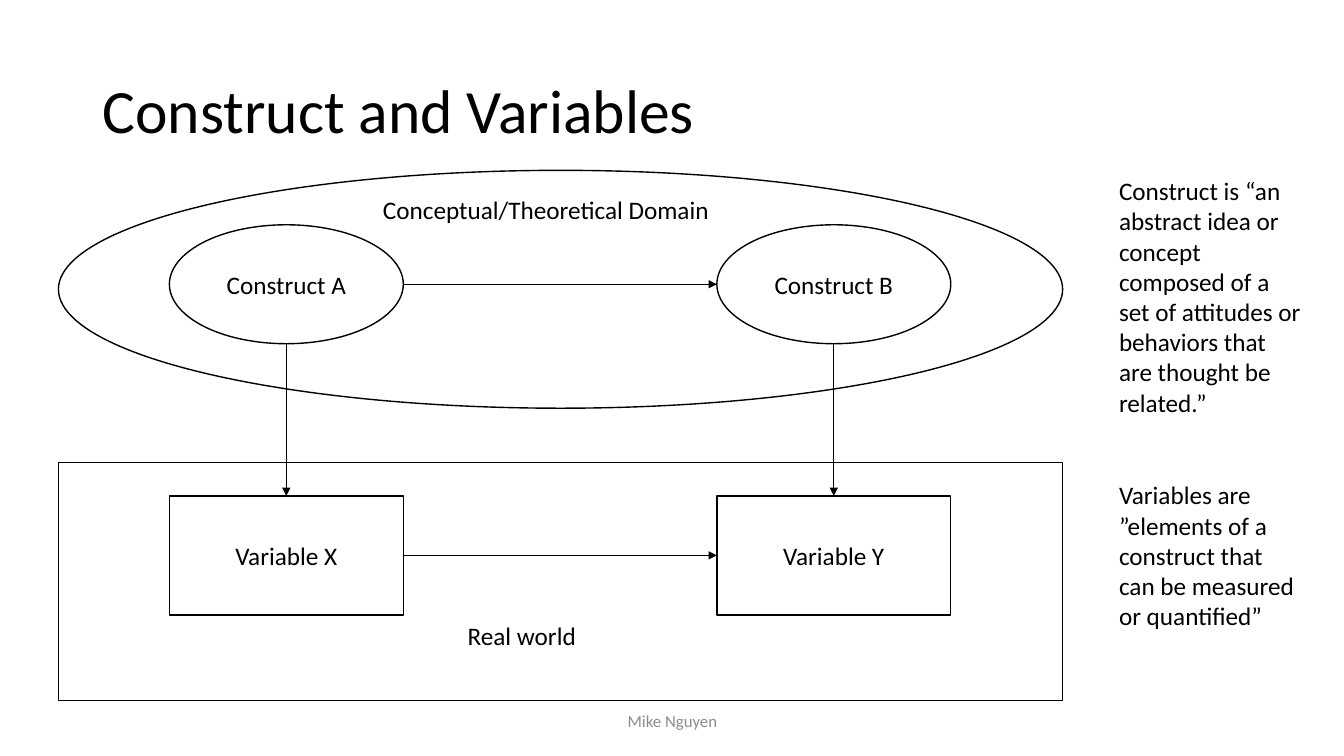
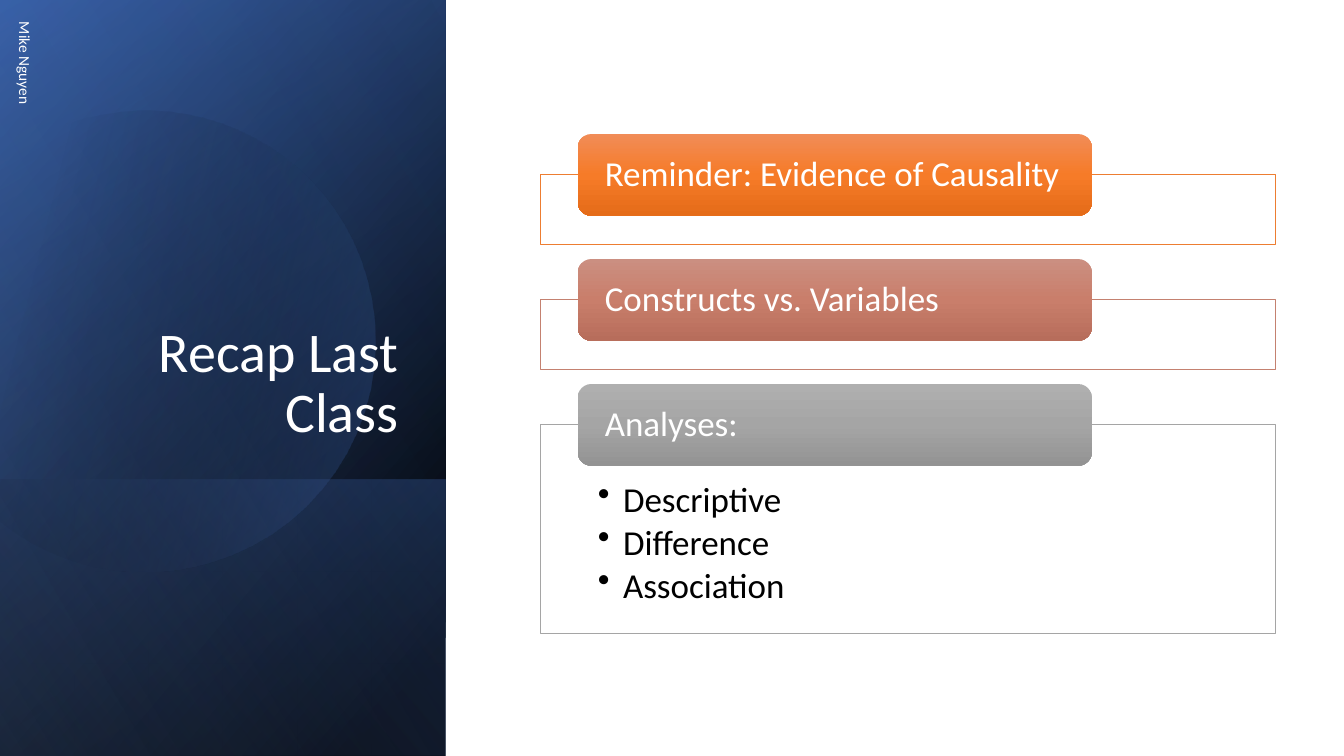
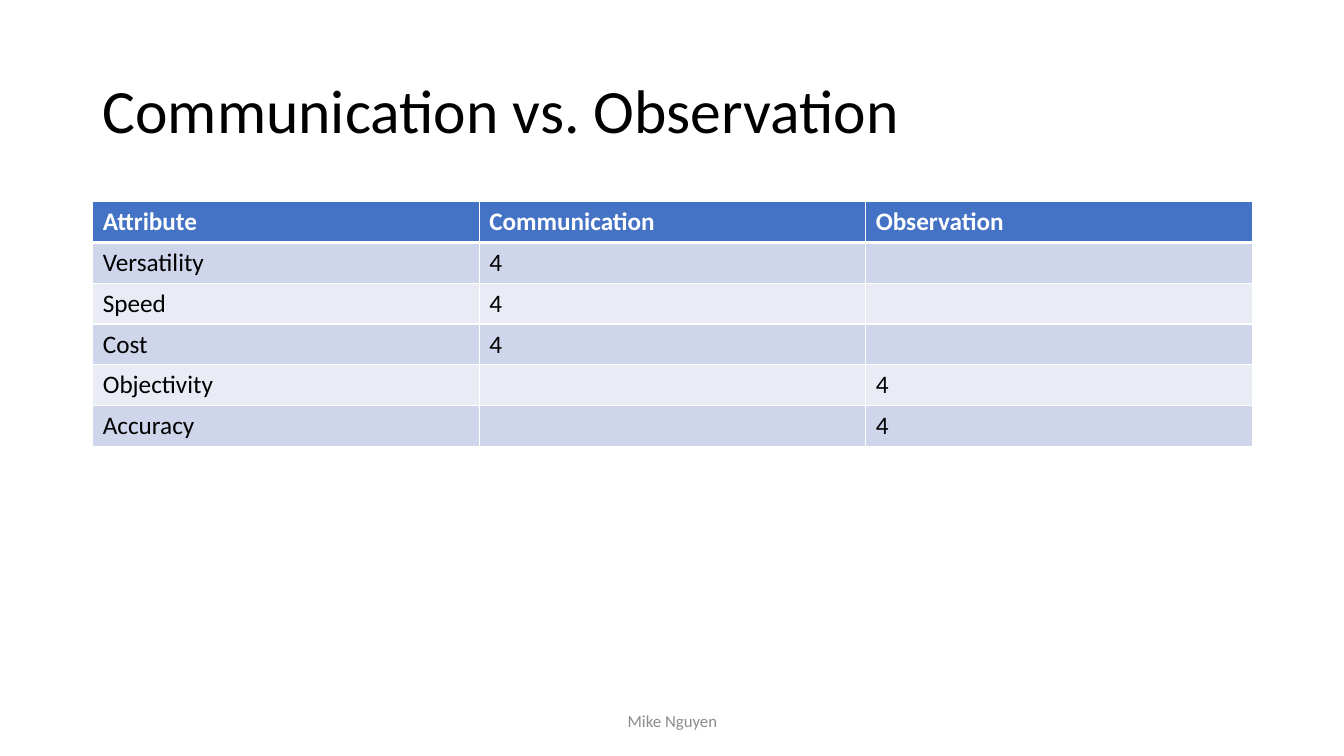
from math import cos, radians, sin

from pptx import Presentation
from pptx.dml.color import RGBColor
from pptx.enum.shapes import MSO_CONNECTOR, MSO_SHAPE
from pptx.enum.text import MSO_ANCHOR, PP_ALIGN
from pptx.oxml import parse_xml
from pptx.oxml.ns import nsdecls, qn
from pptx.util import Inches, Pt

RECT, ROUND, OVAL = MSO_SHAPE.RECTANGLE, MSO_SHAPE.ROUNDED_RECTANGLE, MSO_SHAPE.OVAL
STRAIGHT = MSO_CONNECTOR.STRAIGHT
TOP, MIDDLE, BOTTOM = MSO_ANCHOR.TOP, MSO_ANCHOR.MIDDLE, MSO_ANCHOR.BOTTOM
LEFT, CENTER, RIGHT = PP_ALIGN.LEFT, PP_ALIGN.CENTER, PP_ALIGN.RIGHT


class Theme:
    font = "Calibri"
    black, white, gray = "000000", "FFFFFF", "8C8C8C"
    blue, navy, sky = "4472C4", "2F5597", "8FAADC"
    bands = ("E9EBF5", "CFD5EA")
    title, panel_title, card, body, footer, side = 44, 40, 25, 18, 12, 11
    thin, line, thick = 0.5, 1, 3
    insets = (0.1, 0.05, 0.1, 0.05)


AUTHOR = "Mike Nguyen"

NODE_SIZE = (2.32, 1.18)
NODE_COLUMNS = (1.68, 7.11)
NODE_ROWS = (
    (OVAL, 2.23, ("Construct A", "Construct B")),
    (RECT, 4.92, ("Variable X", "Variable Y")),
)
DOMAINS = (
    (RECT, (0.58, 4.59, 9.96, 2.36), "Real world", (4.54, 6.1, 2, 0.4)),
    (OVAL, (0.58, 1.69, 9.96, 2.36), "Conceptual/Theoretical Domain", (3.7, 1.88, 3.71, 0.4)),
)
DEFINITIONS = (
    ("Construct is “an abstract idea or concept composed of a set of attitudes or "
     "behaviors that are thought be related.”", (11, 1.69, 2.02, 2.52)),
    ("Variables are ”elements of a construct that can be measured or quantified”",
     (11, 4.71, 2.02, 1.62)),
)

PANEL = (-1.54, 1.54, 7.5, 4.42)
PANEL_FOOT = (0.84, 3.92, 2.74, 4.42)
LOWER_LAYERS = (
    (PANEL, 50, ((8, Theme.black, 100), (100, Theme.navy, 100))),
    (PANEL, 30, ((0, Theme.black, 0), (99, Theme.blue, 46))),
    (PANEL_FOOT, 130, ((2, Theme.blue, 29), (100, Theme.black, 30))),
)
UPPER_LAYERS = ((PANEL, 120, ((0, Theme.black, 0), (99, Theme.sky, 11))),)

DISC_TILT = -16.1
DISC_CENTER = (1.58, 3.34)
DISC_START = (1.49, 1.1)
DISC_SEGMENTS = (
    ((2.46, 1.12), (3.35, 1.77), (3.63, 2.75)),
    ((3.98, 3.97), (3.28, 5.23), (2.07, 5.58)),
    ((1.31, 5.8), (0.53, 5.61), (-0.03, 5.14)),
    ((-0.15, 5.03),),
    ((-0.15, 1.75),),
    ((0, 1.61),),
    ((0.23, 1.42), (0.5, 1.28), (0.8, 1.19)),
    ((1.03, 1.13), (1.26, 1.1), (1.49, 1.1)),
)
DISC_FADE = ((29, Theme.black, 0), (100, Theme.blue, 43))

CARDS = (
    ("Reminder: Evidence of Causality", (), 0.69, "ED7D31", ("F18C57", "F67B28", "E56C19")),
    ("Constructs vs. Variables", (), 0.69, "C48170", ("CB8F81", "C97E6B", "B76D5B")),
    ("Analyses:", ("Descriptive", "Difference", "Association"), 2.07, "A5A5A5",
     ("AFAFAF", "A5A5A5", "939393")),
)
CARD_TOP, CARD_STEP = 1.33, 1.24

COMPARISON = (
    ("Attribute", "Communication", "Observation"),
    ("Versatility", "4", ""),
    ("Speed", "4", ""),
    ("Cost", "4", ""),
    ("Objectivity", "", "4"),
    ("Accuracy", "", "4"),
)


def inches(values):
    return [Inches(value) for value in values]


def color(code):
    return RGBColor.from_string(code)


def style_paragraph(para, size, ink=Theme.black, align=LEFT, spacing=None, bold=False):
    para.alignment = align
    para.line_spacing = spacing
    for span in para.runs:
        span.font.name = Theme.font
        span.font.size = Pt(size)
        span.font.bold = bold
        span.font.color.rgb = color(ink)


def write(shape, text, size, anchor=TOP, insets=Theme.insets, **style):
    frame = shape.text_frame
    frame.word_wrap = True
    frame.vertical_anchor = anchor
    frame.margin_left, frame.margin_top, frame.margin_right, frame.margin_bottom = inches(insets)
    frame.text = text
    for para in frame.paragraphs:
        style_paragraph(para, size, **style)


def add_label(page, place, text, size, **style):
    box = page.shapes.add_textbox(*inches(place))
    write(box, text, size, **style)
    return box


def add_title(page, text):
    add_label(page, (0.92, 0.4, 11.5, 1.45), text, Theme.title, anchor=MIDDLE, spacing=0.9)


def add_footer(page):
    add_label(page, (4.42, 6.95, 4.5, 0.4), AUTHOR, Theme.footer, anchor=MIDDLE,
              ink=Theme.gray, align=CENTER)


def paint(shape, fill=None, line=None, width=Theme.line):
    shape.shadow.inherit = False
    if fill:
        shape.fill.solid()
        shape.fill.fore_color.rgb = color(fill)
    else:
        shape.fill.background()
    if line:
        shape.line.color.rgb = color(line)
        shape.line.width = Pt(width)
    else:
        shape.line.fill.background()


def add_box(page, kind, place, **look):
    shape = page.shapes.add_shape(kind, *inches(place))
    paint(shape, **look)
    return shape


def fade(shape, stops, angle):
    marks = "".join(
        f'<a:gs pos="{position * 1000}"><a:srgbClr val="{code}">'
        f'<a:alpha val="{alpha * 1000}"/></a:srgbClr></a:gs>'
        for position, code, alpha in stops)
    gradient = parse_xml(
        f'<a:gradFill {nsdecls("a")} rotWithShape="1"><a:gsLst>{marks}</a:gsLst>'
        f'<a:lin ang="{angle * 60000}" scaled="0"/></a:gradFill>')
    properties = shape._element.spPr
    properties.replace(properties.find(qn("a:noFill")), gradient)


def add_arrow(page, start, end):
    arrow = page.shapes.add_connector(STRAIGHT, *inches(start + end))
    arrow.line.color.rgb = color(Theme.black)
    arrow.line.width = Pt(Theme.thin)
    arrow.line._get_or_add_ln().append(
        parse_xml(f'<a:tailEnd {nsdecls("a")} type="triangle"/>'))
    arrow._element.spPr.append(parse_xml(f'<a:effectLst {nsdecls("a")}/>'))


def build_constructs(page):
    add_title(page, "Construct and Variables")
    add_footer(page)
    width, height = NODE_SIZE
    first, second = NODE_COLUMNS
    for kind, top, names in NODE_ROWS:
        for left, name in zip(NODE_COLUMNS, names):
            node = add_box(page, kind, (left, top, width, height),
                           fill=Theme.white, line=Theme.black)
            write(node, name, Theme.body, anchor=MIDDLE, align=CENTER)
        middle = top + height / 2
        add_arrow(page, (first + width, middle), (second, middle))
    upper, lower = (top for kind, top, names in NODE_ROWS)
    for left in NODE_COLUMNS:
        center = left + width / 2
        add_arrow(page, (center, upper + height), (center, lower))
    for kind, place, name, name_place in DOMAINS:
        add_box(page, kind, place, line=Theme.black)
        add_label(page, name_place, name, Theme.body)
    for text, place in DEFINITIONS:
        add_label(page, place, text, Theme.body)


def add_layers(page, layers):
    for place, angle, stops in layers:
        layer = add_box(page, RECT, place)
        layer.rotation = 90
        layer._element.spPr.find(qn("a:xfrm")).set("flipH", "1")
        fade(layer, stops, angle)


def curve_points(start, segment, steps=16):
    if len(segment) == 1:
        return list(segment)
    controls = (start,) + segment
    points = []
    for step in range(1, steps + 1):
        t = step / steps
        weights = ((1 - t) ** 3, 3 * t * (1 - t) ** 2, 3 * t * t * (1 - t), t ** 3)
        points.append(tuple(
            sum(weight * point[axis] for weight, point in zip(weights, controls))
            for axis in (0, 1)))
    return points


def untilt(point):
    angle = radians(-DISC_TILT)
    across, down = (value - middle for value, middle in zip(point, DISC_CENTER))
    return inches((DISC_CENTER[0] + across * cos(angle) - down * sin(angle),
                   DISC_CENTER[1] + across * sin(angle) + down * cos(angle)))


def add_disc(page):
    outline = [DISC_START]
    for segment in DISC_SEGMENTS:
        outline += curve_points(outline[-1], segment)
    points = [untilt(point) for point in outline]
    builder = page.shapes.build_freeform(*points[0])
    builder.add_line_segments(points[1:], close=True)
    disc = builder.convert_to_shape()
    paint(disc)
    disc.rotation = DISC_TILT
    fade(disc, DISC_FADE, 30)


def add_bullet(para):
    para.space_after = Pt(3.75)
    properties = para._p.get_or_add_pPr()
    properties.set("marL", str(Inches(0.25)))
    properties.set("indent", str(-Inches(0.25)))
    properties.append(parse_xml(f'<a:buChar {nsdecls("a")} char="•"/>'))


def add_card(page, top, heading, items, height, edge, shades):
    frame = add_box(page, RECT, (5.36, top + 0.4, 7.29, height),
                    fill=Theme.white, line=edge, width=Theme.thin)
    if items:
        write(frame, "\n".join(items), Theme.card, insets=(0.57, 0.57, 0.57, 0.19), spacing=0.9)
        for para in frame.text_frame.paragraphs:
            add_bullet(para)
    tab = add_box(page, ROUND, (5.73, top, 5.1, 0.81))
    fade(tab, [(position, shade, 100) for position, shade in zip((0, 50, 100), shades)], 90)
    write(tab, heading, Theme.card, anchor=MIDDLE, insets=(0.23, 0, 0.23, 0),
          ink=Theme.white, spacing=0.9)


def build_recap(page):
    add_layers(page, LOWER_LAYERS)
    add_disc(page)
    add_layers(page, UPPER_LAYERS)
    add_label(page, (0.64, 1.84, 3.41, 2.62), "Recap Last Class", Theme.panel_title,
              anchor=BOTTOM, ink=Theme.white, align=RIGHT, spacing=0.9)
    author = add_label(page, (-2, 2.17, 4.5, 0.4), AUTHOR, Theme.side,
                       anchor=MIDDLE, ink=Theme.white)
    author.rotation = 90
    for index, card in enumerate(CARDS):
        add_card(page, CARD_TOP + index * CARD_STEP, *card)


def add_borders(cell, widths):
    properties = cell._tc.get_or_add_tcPr()
    for side, width in zip("LRTB", widths):
        properties.append(parse_xml(
            f'<a:ln{side} {nsdecls("a")} w="{Pt(width)}"><a:solidFill>'
            f'<a:srgbClr val="{Theme.white}"/></a:solidFill></a:ln{side}>'))


def build_comparison(page):
    add_title(page, "Communication vs. Observation")
    row_count, column_count = len(COMPARISON), len(COMPARISON[0])
    table = page.shapes.add_table(row_count, column_count,
                                  *inches((0.92, 2, 11.5, 2.43))).table
    for row, values in enumerate(COMPARISON):
        header = row == 0
        above = Theme.thick if row == 1 else Theme.line
        below = Theme.thick if header else Theme.line
        for column, value in enumerate(values):
            cell = table.cell(row, column)
            add_borders(cell, (Theme.line, Theme.line, above, below))
            cell.fill.solid()
            cell.fill.fore_color.rgb = color(Theme.blue if header else Theme.bands[row % 2])
            if value:
                cell.text = value
                style_paragraph(cell.text_frame.paragraphs[0], Theme.body, bold=header,
                                ink=Theme.white if header else Theme.black)
    add_footer(page)


def main():
    deck = Presentation()
    deck.slide_width, deck.slide_height = Inches(13.33), Inches(7.5)
    for build in (build_constructs, build_recap, build_comparison):
        build(deck.slides.add_slide(deck.slide_layouts[6]))
    deck.save("out.pptx")


if __name__ == "__main__":
    main()
